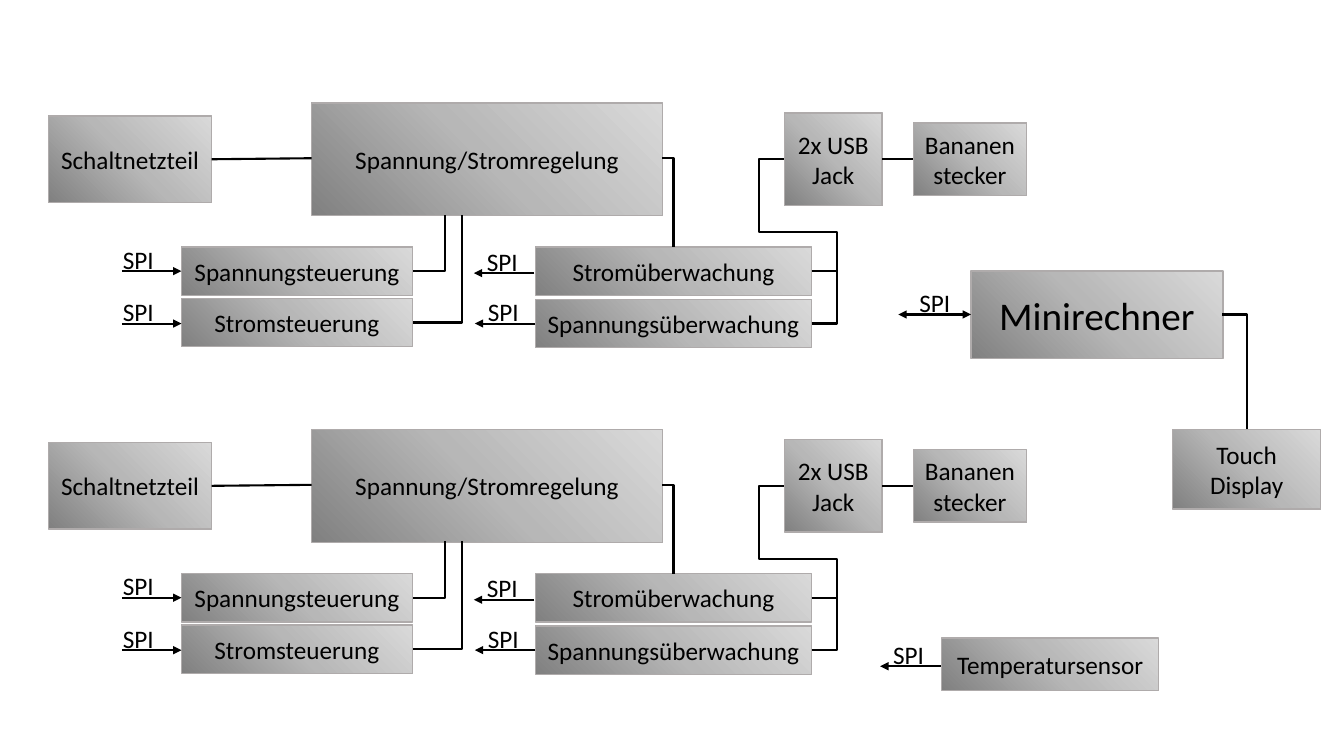
from copy import deepcopy
from lxml.etree import SubElement as Sub
from pptx import Presentation
from pptx.dml.color import RGBColor
from pptx.enum.shapes import MSO_CONNECTOR as Conn, MSO_SHAPE as Kind
from pptx.enum.text import MSO_ANCHOR as Anchor, MSO_AUTO_SIZE as Auto, PP_ALIGN as Align
from pptx.oxml.ns import qn
from pptx.util import Inches as In, Pt

# Content: lengths in inches; a channel is drawn once per entry in TOPS
TOPS = [0, 3.24]
SHADES = [(0, "808080"), (0.5, "B7B7B7"), (1, "D9D9D9")]
INK, EDGE = "000000", "AFABAB"

BLOCKS = [  # text, left, top, width, height
    ("Schaltnetzteil", 0.48, 1.15, 1.62, 0.86),
    ("Spannung/Stromregelung", 3.09, 1.02, 3.48, 1.12),
    ("Spannungsteuerung", 1.8, 2.45, 2.29, 0.48),
    ("Stromsteuerung", 1.8, 2.96, 2.29, 0.48),
    ("Stromüberwachung", 5.31, 2.45, 2.74, 0.48),
    ("Spannungsüberwachung", 5.31, 2.97, 2.74, 0.48),
    ("2x USB Jack", 7.78, 1.12, 0.97, 0.92),
    ("Bananenstecker", 9.06, 1.22, 1.12, 0.72),
]
WIRES = [  # start x, y, end x, y
    (2.1, 1.58, 3.09, 1.57),
    (8.75, 1.58, 9.06, 1.58),
]
BENDS = [  # across first, then up or down
    (4.1, 2.69, 4.41, 2.13),
    (4.1, 3.2, 4.58, 2.13),
    (6.57, 1.57, 6.68, 2.45),
    (8.05, 3.21, 8.3, 2.65),
]
LOOP = (8.05, 2.69, 7.78, 1.58)
TURNS = [-93300, 34900, 193300]
BUSES = [  # tail x, tip x, y, label left
    (1.21, 1.8, 2.69, 1.12),
    (1.21, 1.8, 3.21, 1.12),
    (5.3, 4.7, 2.71, 4.73),
    (5.31, 4.71, 3.21, 4.74),
]

# Shared parts outside the channels
HOST = ("Minirechner", 9.63, 2.69, 2.5, 0.87)
PANEL = ("Touch\nDisplay", 11.63, 4.26, 1.47, 0.79)
SENSOR = ("Temperatursensor", 9.34, 6.33, 2.15, 0.52)
HOST_BUS = (9.63, 8.91, 3.12, 9.02)
SENSOR_BUS = (9.33, 8.73, 6.61, 8.76)
PANEL_BEND = (12.12, 3.12, 12.37, 4.26)

deck = Presentation()
deck.slide_width, deck.slide_height = In(13.33), In(7.5)
slide = deck.slides.add_slide(deck.slide_layouts[6])
shapes = slide.shapes


def tint(code):
    return RGBColor.from_string(code)


def write(frame, text, size=18, align=Align.CENTER, wrap=True):
    frame.word_wrap = wrap
    for n, words in enumerate(text.split("\n")):
        para = frame.add_paragraph() if n else frame.paragraphs[0]
        para.alignment = align
        run = para.add_run()
        run.text = words
        run.font.name, run.font.size = "Calibri", Pt(size)
        run.font.color.rgb = tint(INK)


def shade(fill):
    fill.gradient()
    fill.gradient_angle = 45
    first = fill._fill._gradFill.gsLst[0]
    first.addnext(deepcopy(first))
    for stop, (pos, code) in zip(fill.gradient_stops, SHADES):
        stop.position = pos
        stop.color.rgb = tint(code)


def block(text, left, top, wide, high, drop=0, size=18):
    box = shapes.add_shape(Kind.RECTANGLE, In(left), In(top + drop), In(wide), In(high))
    box.shadow.inherit = False
    shade(box.fill)
    box.line.color.rgb, box.line.width = tint(EDGE), Pt(1)
    box.text_frame.vertical_anchor = Anchor.MIDDLE
    write(box.text_frame, text, size=size)


def wire(x1, y1, x2, y2, drop=0, bend=None, turns=(), ends=()):
    kind = Conn.ELBOW if bend else Conn.STRAIGHT
    link = shapes.add_connector(kind, In(x1), In(y1 + drop), In(x2), In(y2 + drop))
    link.line.color.rgb, link.line.width = tint(INK), Pt(1.5)
    props = link._element.spPr
    if bend:
        geom = props.find(qn("a:prstGeom"))
        geom.set("prst", bend)
        guides = geom.find(qn("a:avLst"))
        if guides is None:
            guides = Sub(geom, qn("a:avLst"))
        for n, turn in enumerate(turns, 1):
            Sub(guides, qn("a:gd"), name=f"adj{n}", fmla=f"val {turn}")
    for end in ends:
        Sub(props.find(qn("a:ln")), qn("a:" + end), type="triangle")
    Sub(props, qn("a:effectLst"))


def bus(tail, tip, y, left, drop=0, ends=("tailEnd",)):
    wire(tail, y, tip, y, drop=drop, ends=ends)
    tag = shapes.add_textbox(In(left), In(y - 0.32 + drop), In(0.51), In(0.4))
    write(tag.text_frame, "SPI", align=Align.LEFT, wrap=False)
    tag.text_frame.auto_size = Auto.SHAPE_TO_FIT_TEXT


# Channels
for drop in TOPS:
    for part in BLOCKS:
        block(*part, drop=drop)
    for ends in WIRES:
        wire(*ends, drop=drop)
    for ends in BENDS:
        wire(*ends, drop=drop, bend="bentConnector2")
    wire(*LOOP, drop=drop, bend="bentConnector5", turns=TURNS)
    for line in BUSES:
        bus(*line, drop=drop)

# Host, display and sensor
block(*HOST, size=28)
block(*PANEL)
block(*SENSOR)
wire(*PANEL_BEND, bend="bentConnector2")
bus(*HOST_BUS, ends=("headEnd", "tailEnd"))
bus(*SENSOR_BUS)

deck.save("out.pptx")
